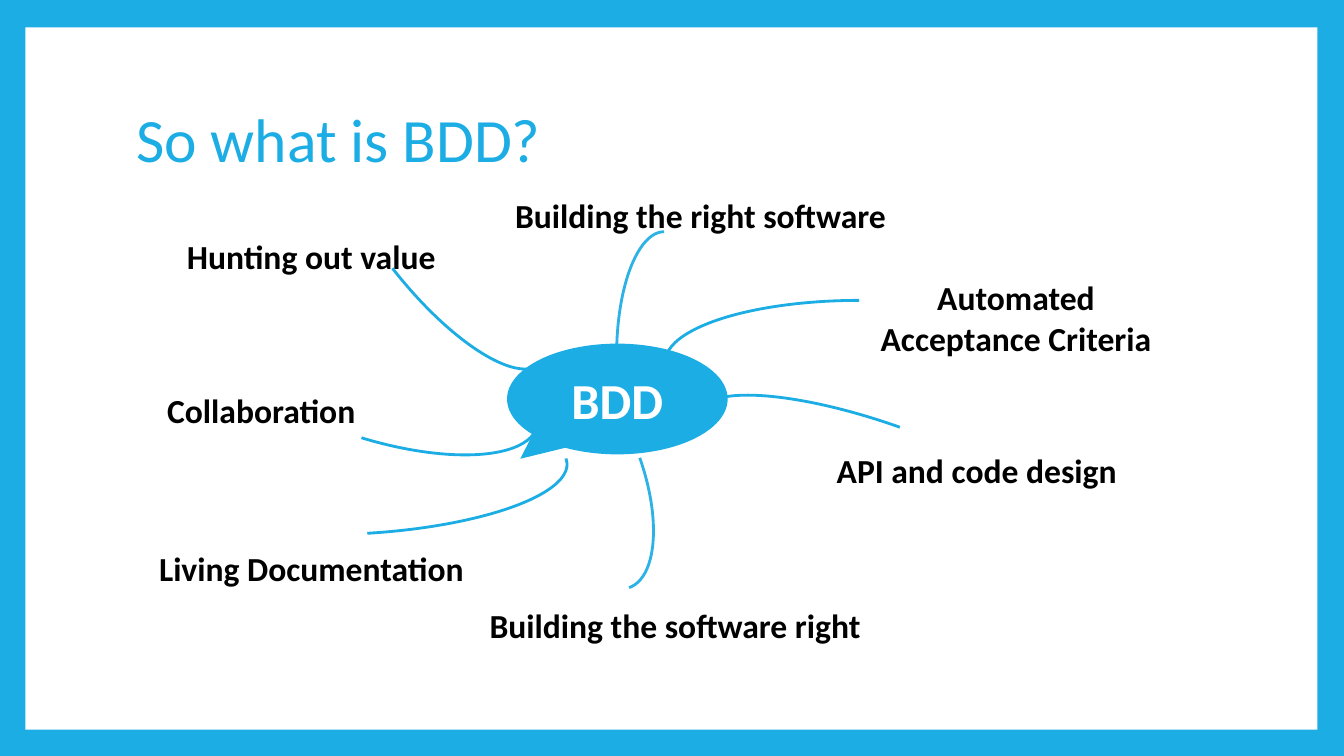
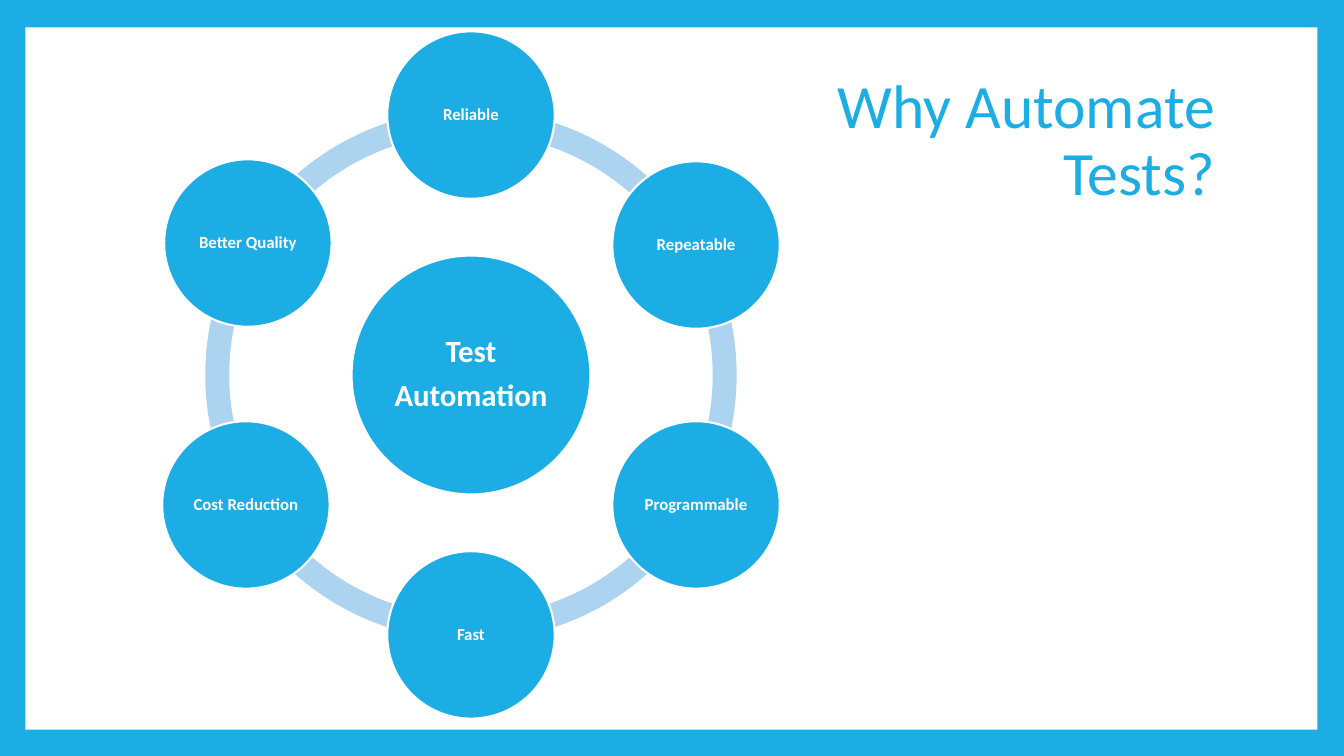
from math import cos, radians, sin

from lxml import etree
from pptx import Presentation
from pptx.dml.color import RGBColor
from pptx.enum.shapes import MSO_SHAPE
from pptx.enum.text import MSO_ANCHOR, MSO_AUTO_SIZE, PP_ALIGN
from pptx.oxml.ns import qn
from pptx.util import Cm, Pt

# Shared look
BLUE = RGBColor(0x1C, 0xAD, 0xE4)
PALE_BLUE = RGBColor(0xAC, 0xD3, 0xEF)
WHITE = RGBColor(0xFF, 0xFF, 0xFF)
BLACK = RGBColor(0, 0, 0)
FONT = "Calibri"

RECTANGLE, OVAL, CALLOUT = MSO_SHAPE.RECTANGLE, MSO_SHAPE.OVAL, MSO_SHAPE.OVAL_CALLOUT
ARC, BLOCK_ARC = MSO_SHAPE.ARC, MSO_SHAPE.BLOCK_ARC
LEFT, CENTER, RIGHT = PP_ALIGN.LEFT, PP_ALIGN.CENTER, PP_ALIGN.RIGHT
MIDDLE = MSO_ANCHOR.MIDDLE
FIXED, GROW = MSO_AUTO_SIZE.NONE, MSO_AUTO_SIZE.SHAPE_TO_FIT_TEXT

TITLE_FRAME = {"auto_size": FIXED, "vertical_anchor": MIDDLE, "word_wrap": True}
LABEL_FRAME = {"auto_size": GROW, "word_wrap": True}
CENTRED_FRAME = {"vertical_anchor": MIDDLE, "word_wrap": True}

# Mind map: text, box in cm, alignment
LABELS = [
    ("Collaboration", (2.51, 9.7, 8.15, 1.27), CENTER),
    ("Hunting out value", (3.68, 5.82, 8.33, 1.27), CENTER),
    ("Building the right software", (12.73, 4.78, 11.33, 1.27), LEFT),
    ("Automated Acceptance Criteria", (21.44, 6.86, 8.33, 2.31), CENTER),
    ("API and code design", (20.45, 11.2, 8.33, 1.27), CENTER),
    ("Building the software right", (11.63, 15.11, 10.77, 1.27), CENTER),
    ("Living Documentation", (2.92, 13.67, 9.86, 1.27), CENTER),
]
# Branches: box in cm, rotation, end of the arc, opacity in percent
BRANCHES = [
    ((5.41, 7.98, 8.31, 3.12), 197, 1.07, 100),
    ((6.83, 4.42, 8.41, 2.9), 232, 1.07, 100),
    ((15.54, 5.84, 2.39, 6.22), 0, 0, 92),
    ((16.76, 7.57, 9.78, 3.12), 0, 0, 100),
    ((17.35, 10.69, 9.78, 2.64), 19.5, 0, 100),
    ((13.51, 8.99, 2.69, 5.99), 160.5, 0, 92),
    ((4.04, 10.52, 10.26, 2.92), 176.6, 0.84, 100),
]

# Wheel, in cm; benefits run clockwise from the top with a small shift
WHEEL_X, WHEEL_Y = 11.87, 9.45
RING, HUB, NODE, ORBIT = 13.39, 6.02, 4.22, 6.55
BENEFITS = [
    ("Reliable", 0),
    ("Repeatable", 0),
    ("Programmable", 0),
    ("Fast", 0),
    ("Cost Reduction", 0),
    ("Better Quality", 0.05),
]


def apply_format(target, values):
    for name, value in values.items():
        setattr(target, name, value)


def write_text(frame, lines, size, color, bold=True, align=CENTER, **spacing):
    """Fill a text frame with one paragraph per line."""
    for index, line in enumerate(lines):
        paragraph = frame.add_paragraph() if index else frame.paragraphs[0]
        paragraph.text = line
        apply_format(paragraph, {"alignment": align, **spacing})
        apply_format(paragraph.font, {"name": FONT, "size": Pt(size), "bold": bold})
        paragraph.font.color.rgb = color


def add_filled(slide, kind, box, fill, adjustments=()):
    shape = slide.shapes.add_shape(kind, *map(Cm, box))
    shape.shadow.inherit = False
    shape.fill.solid()
    shape.fill.fore_color.rgb = fill
    shape.line.fill.background()
    for index, value in enumerate(adjustments):
        shape.adjustments[index] = value
    return shape


def add_circle(slide, x, y, diameter, lines, size, inset):
    """Add a white-edged disc centred on x, y."""
    box = (x - diameter / 2, y - diameter / 2, diameter, diameter)
    circle = add_filled(slide, OVAL, box, BLUE)
    circle.line.color.rgb = WHITE
    circle.line.width = Pt(1.5)
    margins = ("margin_left", "margin_top", "margin_right", "margin_bottom")
    apply_format(circle.text_frame, {**CENTRED_FRAME, **dict.fromkeys(margins, Cm(inset))})
    write_text(circle.text_frame, lines, size, WHITE,
               line_spacing=0.9, space_after=Pt(round(size * 0.35, 1)))


def add_label(slide, text, box, align):
    label = slide.shapes.add_textbox(*map(Cm, box))
    apply_format(label.text_frame, LABEL_FRAME)
    write_text(label.text_frame, [text], 24, BLACK, align=align)


def add_branch(slide, box, rotation, end, opacity):
    """Add a mirrored curve between the centre and a label."""
    branch = slide.shapes.add_shape(ARC, *map(Cm, box))
    branch.shadow.inherit = False
    branch.fill.background()
    branch.line.color.rgb = BLUE
    branch.line.width = Pt(2)
    branch.adjustments[1] = end
    branch.rotation = rotation
    properties = branch._element.spPr
    properties.find(qn("a:xfrm")).set("flipH", "1")
    if opacity < 100:
        color = properties.find(qn("a:ln")).find(".//" + qn("a:srgbClr"))
        etree.SubElement(color, qn("a:alpha")).set("val", str(opacity * 1000))


def add_title(slide, text, left, width, align):
    title = slide.shapes.title
    apply_format(title, {"left": Cm(left), "top": Cm(1.7),
                         "width": Cm(width), "height": Cm(3.76)})
    apply_format(title.text_frame, TITLE_FRAME)
    write_text(title.text_frame, [text], 44, BLUE, False, align, line_spacing=0.9)


def add_frame(layout, slide):
    """Give the layout its blue border and white panel."""
    layout.background.fill.solid()
    layout.background.fill.fore_color.rgb = BLUE
    panel = add_filled(slide, RECTANGLE, (0.64, 0.69, 32.56, 17.7), WHITE)
    layout.shapes._spTree.insert(2, panel._element)


def build_mind_map(slide):
    add_title(slide, "So what is BDD?", 3.18, 27.43, LEFT)
    topic = add_filled(slide, CALLOUT, (12.78, 8.66, 5.56, 2.79), BLUE, (-0.44, 0.54))
    apply_format(topic.text_frame, CENTRED_FRAME)
    write_text(topic.text_frame, ["BDD"], 36, WHITE)
    for label, branch in zip(LABELS, BRANCHES):
        add_label(slide, *label)
        add_branch(slide, *branch)


def build_wheel(slide):
    add_title(slide, "Why Automate Tests?", 16.94, 13.94, RIGHT)
    # Ring: six segments of 60 degrees; 216 units make a full turn
    ring_box = (WHEEL_X - RING / 2, WHEEL_Y - RING / 2, RING, RING)
    for start in range(18, 216, 36):
        add_filled(slide, BLOCK_ARC, ring_box, PALE_BLUE,
                   (start, (start + 36) % 216, 0.045))
    # Hub and benefits
    add_circle(slide, WHEEL_X, WHEEL_Y, HUB, ["Test", "Automation"], 22, 0.08)
    for index, (benefit, shift) in enumerate(BENEFITS):
        angle = radians(index * 360 / len(BENEFITS))
        add_circle(slide, WHEEL_X + ORBIT * sin(angle) + shift,
                   WHEEL_Y - ORBIT * cos(angle) - shift, NODE, [benefit], 12, 0.05)


def main():
    prs = Presentation()
    prs.slide_width, prs.slide_height = Cm(33.87), Cm(19.05)
    layout = prs.slide_layouts[5]
    mind_map, wheel = (prs.slides.add_slide(layout) for _ in range(2))
    add_frame(layout, mind_map)
    build_mind_map(mind_map)
    build_wheel(wheel)
    prs.save("out.pptx")


if __name__ == "__main__":
    main()
